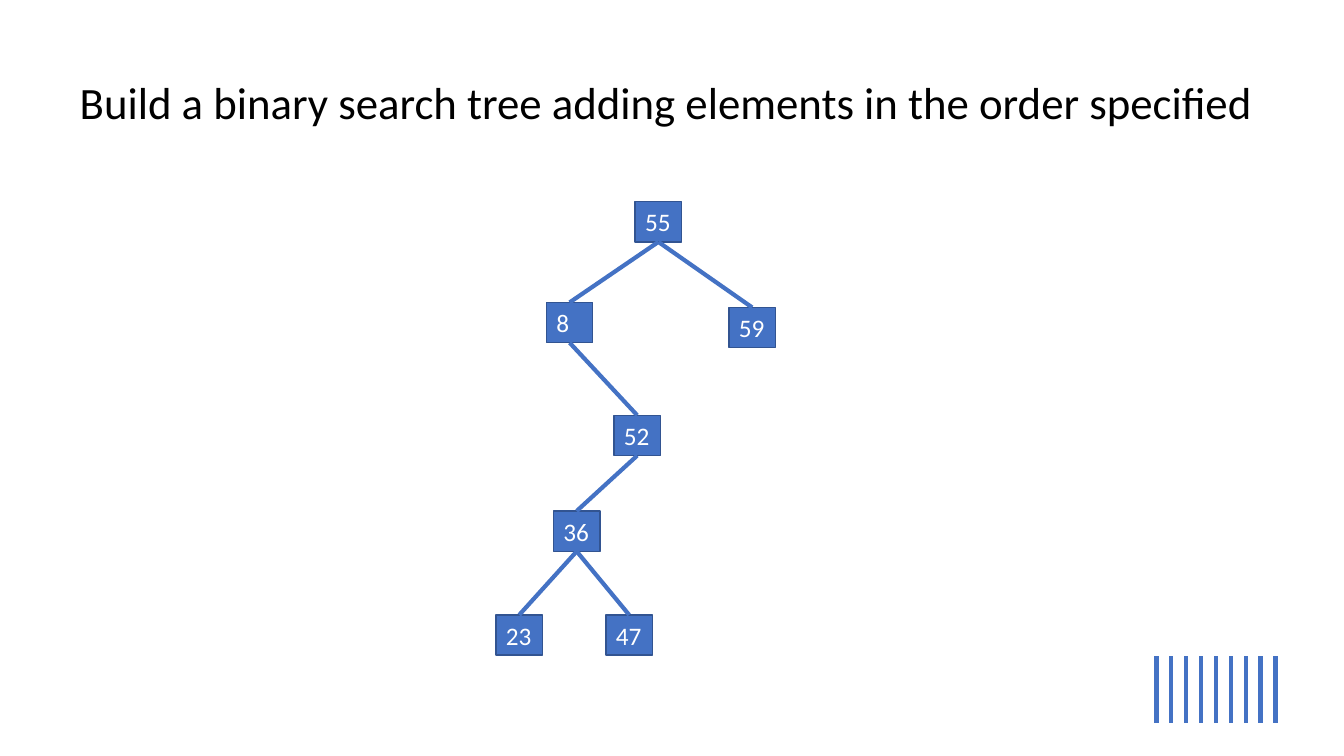
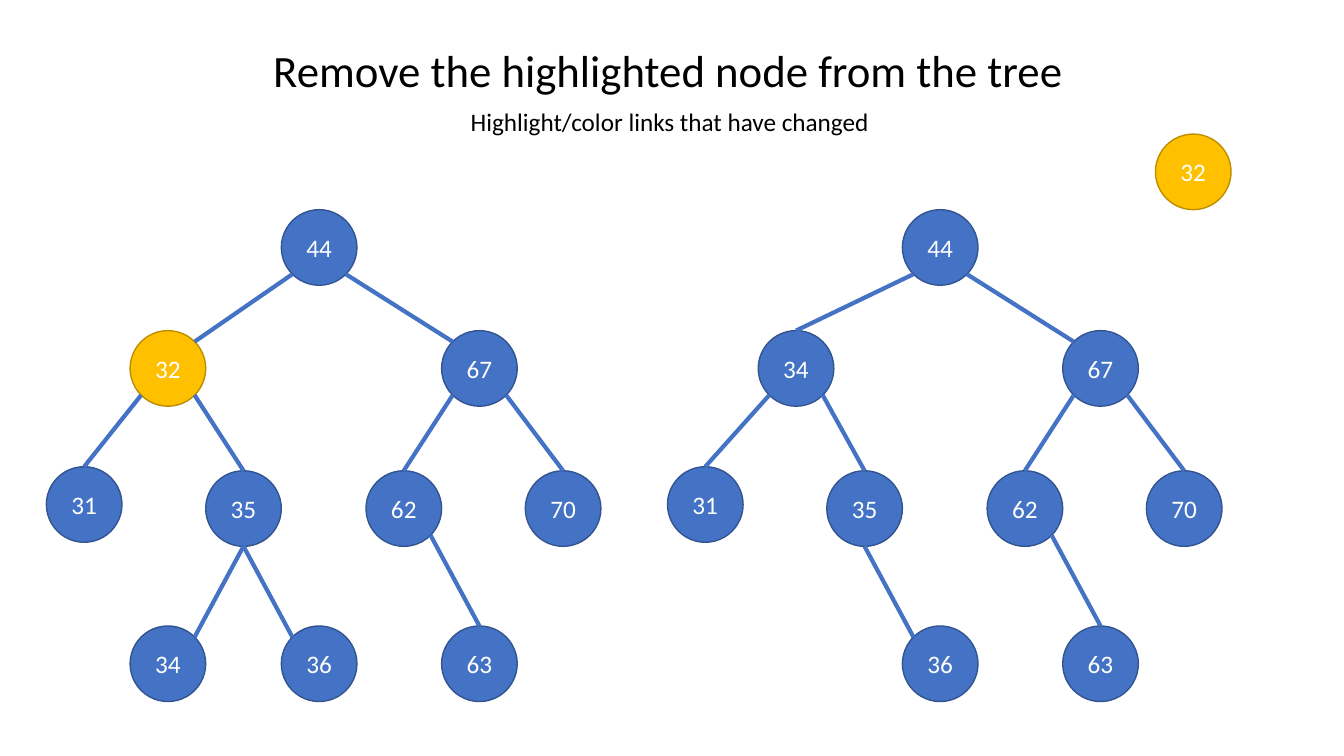
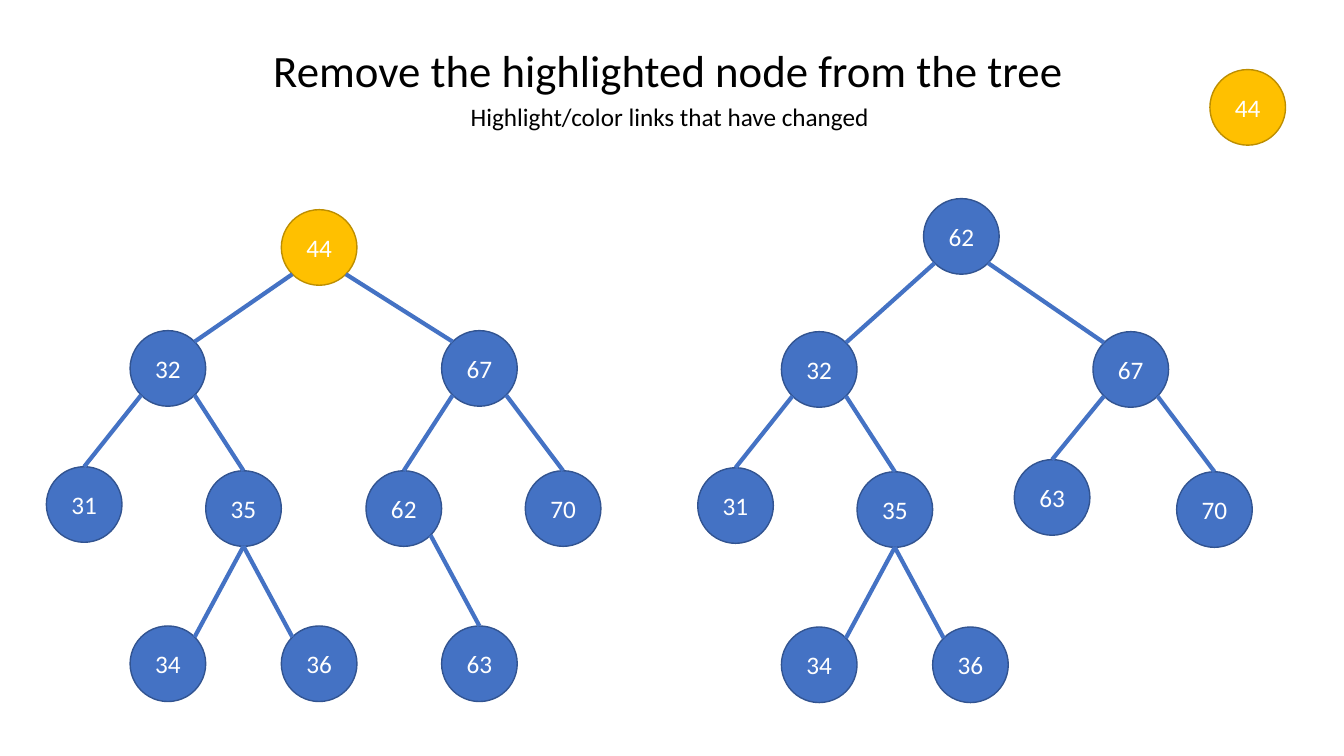
import math

import pptx
import pptx.dml.color
import pptx.enum.shapes
import pptx.enum.text
import pptx.oxml.ns
import pptx.util
from lxml import etree

PX = 9144  # 100 px to the inch
FONT = "Calibri"
BLACK, WHITE = "000000", "FFFFFF"
BLUE = ("4472C4", "325491")
GOLD = ("FFC000", "BD8E00")
SHAPE = pptx.enum.shapes.MSO_SHAPE
ALIGN = pptx.enum.text.PP_ALIGN
ANCHOR = pptx.enum.text.MSO_ANCHOR
FIT = pptx.enum.text.MSO_AUTO_SIZE.SHAPE_TO_FIT_TEXT

# Node styles: shape, width, height, alignment, anchor, grows with its text
BOX = (SHAPE.RECTANGLE, 46, 40, ALIGN.LEFT, ANCHOR.TOP, True)
CIRCLE = (SHAPE.OVAL, 75, 75, ALIGN.CENTER, ANCHOR.MIDDLE, False)

# Sites on a node, as fractions of its width and height
NEAR = (1 - math.sqrt(0.5)) / 2
FAR = 1 - NEAR
SITES = {"n": (0.5, 0), "s": (0.5, 1), "ne": (FAR, NEAR),
         "nw": (NEAR, NEAR), "se": (FAR, FAR), "sw": (NEAR, FAR)}

BUILT_NODES = {55: (630, 200), 8: (542, 300), 59: (723, 305), 52: (609, 412),
               36: (549, 507), 23: (492, 610), 47: (601, 610)}
BUILT_LINKS = [(parent, "s", child, "n") for parent, child in
               [(55, 8), (55, 59), (8, 52), (52, 36), (36, 23), (36, 47)]]

START_NODES = {44: (279, 208), 32: (129, 328), 67: (438, 328),
               31: (46, 463), 35: (204, 467), 62: (363, 467), 70: (521, 467),
               34: (129, 621), 36: (279, 621), 63: (438, 621)}
START_LINKS = [(44, "sw", 32, "ne"), (44, "se", 67, "nw"),
               (32, "sw", 31, "n"), (32, "se", 35, "n"),
               (67, "sw", 62, "n"), (67, "se", 70, "n"),
               (35, "s", 34, "ne"), (35, "s", 36, "nw"), (62, "se", 63, "n")]


def after_removal(removed, heir, shift, moved, new_links):
    """Shift the starting tree, let heir replace removed, and swap its links."""
    dx, dy = shift
    nodes = {n: (x + dx, y + dy) for n, (x, y) in START_NODES.items() if n != removed}
    nodes.update(moved)
    links = [(heir if a == removed else a, sa, b, sb) for a, sa, b, sb in START_LINKS
             if heir not in (a, b) and b != removed]
    return nodes, links + new_links


REMOVALS = [
    {"removed": 32, "aside": (1146, 133), "subtitle_top": 101,
     "result": after_removal(32, 34, (616, 0), {34: (752, 328)},
                             [(44, "sw", 34, "n")])},
    {"removed": 44, "aside": (1200, 69), "subtitle_top": 96,
     "result": after_removal(44, 62, (646, 1), {62: (916, 197), 63: (1006, 456)},
                             [(67, "sw", 63, "n")])},
]


def px(*lengths):
    return [pptx.util.Emu(round(n * PX)) for n in lengths]


def rgb(color):
    return pptx.dml.color.RGBColor.from_string(color)


def write(tf, text, size, color, align=ALIGN.LEFT, anchor=ANCHOR.TOP):
    tf.vertical_anchor = anchor
    p = tf.paragraphs[0]
    p.alignment = align
    r = p.add_run()
    r.text = text
    r.font.name, r.font.size = FONT, pptx.util.Pt(size)
    r.font.color.rgb = rgb(color)


def write_line(sp, text, size):
    """Write one unwrapped line in a box that fits it."""
    tf = sp.text_frame
    tf.word_wrap, tf.auto_size = False, FIT
    write(tf, text, size, BLACK)


def add_titled_slide(prs, text, box):
    slide = prs.slides.add_slide(prs.slide_layouts[5])
    title = slide.shapes.title
    title.left, title.top, title.width, title.height = px(*box)
    write_line(title, text, 32)
    return slide


def add_line(slide, start, end):
    line = slide.shapes.add_connector(
        pptx.enum.shapes.MSO_CONNECTOR.STRAIGHT, *px(*start, *end))
    line.line.color.rgb = rgb(BLUE[0])
    line.line.width = pptx.util.Pt(3)
    etree.SubElement(line._element.spPr, pptx.oxml.ns.qn("a:effectLst"))


def add_node(slide, number, at, style, colors):
    kind, width, height, align, anchor, grows = style
    sp = slide.shapes.add_shape(kind, *px(*at, width, height))
    sp.shadow.inherit = False
    sp.fill.solid()
    sp.fill.fore_color.rgb = rgb(colors[0])
    sp.line.color.rgb = rgb(colors[1])
    sp.line.width = pptx.util.Pt(1)
    if grows:
        sp.text_frame.auto_size = FIT
    write(sp.text_frame, str(number), 18, WHITE, align, anchor)


def add_tree(slide, nodes, links, style, highlighted=None):
    width, height = style[1:3]

    def site(number, name):
        (x, y), (fx, fy) = nodes[number], SITES[name]
        return x + fx * width, y + fy * height

    for number, at in nodes.items():
        add_node(slide, number, at, style, GOLD if number == highlighted else BLUE)
    for parent, parent_site, child, child_site in links:
        add_line(slide, site(parent, parent_site), site(child, child_site))


def build_slide(prs):
    slide = add_titled_slide(
        prs, "Build a binary search tree adding elements in the order specified",
        (69, 69, 1196, 64))
    add_tree(slide, BUILT_NODES, BUILT_LINKS, BOX)
    for i in range(9):
        x = 1147 + i * 14.75
        add_line(slide, (x, 651), (x, 717))


def removal_slide(prs, removed, aside, subtitle_top, result):
    slide = add_titled_slide(
        prs, "Remove the highlighted node from the tree", (261, 37, 811, 64))
    subtitle = slide.shapes.add_textbox(*px(457, subtitle_top, 420, 40))
    write_line(subtitle, "Highlight/color links that have changed", 18)
    add_tree(slide, START_NODES, START_LINKS, CIRCLE, removed)
    add_tree(slide, *result, CIRCLE)
    add_node(slide, removed, aside, CIRCLE, GOLD)


def main():
    prs = pptx.Presentation()
    prs.slide_width, prs.slide_height = px(1333, 750)
    build_slide(prs)
    for removal in REMOVALS:
        removal_slide(prs, **removal)
    prs.save("out.pptx")


if __name__ == "__main__":
    main()
